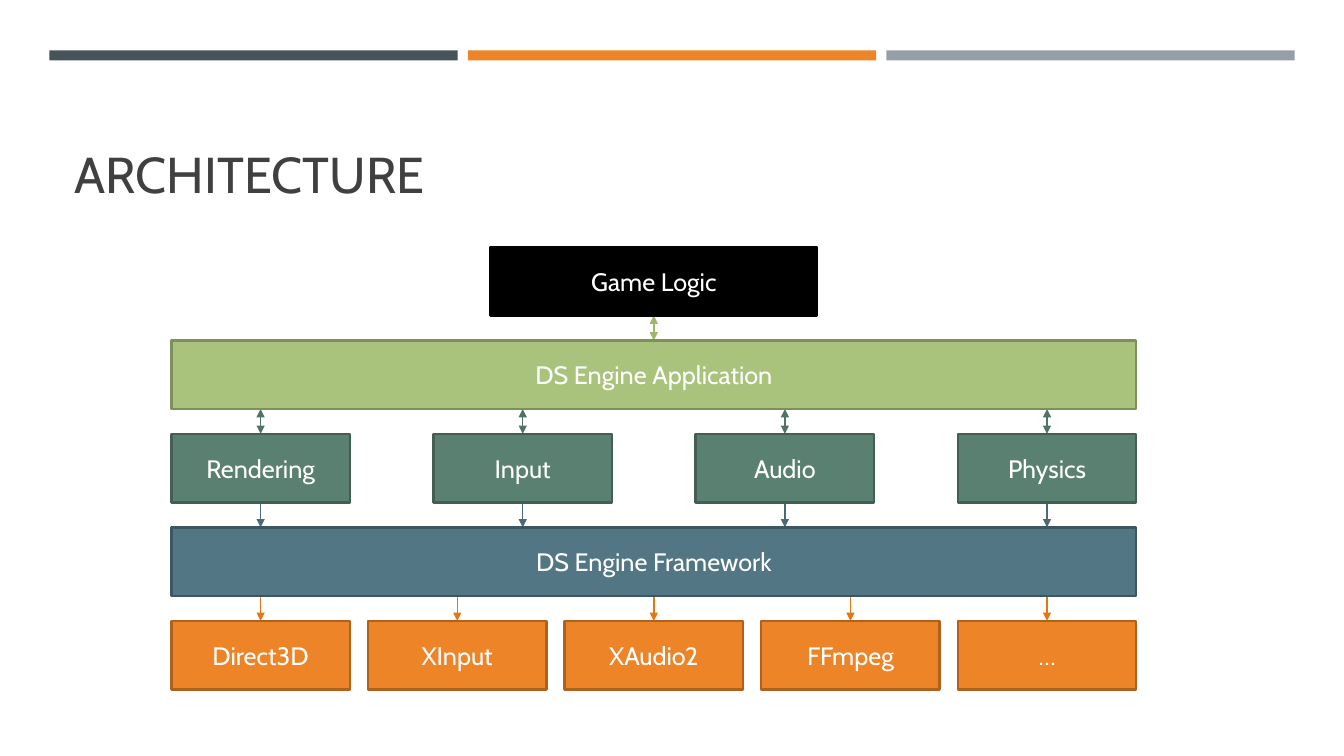
from lxml.etree import SubElement
from pptx import Presentation
from pptx.dml.color import RGBColor
from pptx.enum.shapes import MSO_CONNECTOR, MSO_SHAPE
from pptx.enum.text import MSO_ANCHOR, PP_ALIGN
from pptx.oxml.ns import qn
from pptx.util import Inches, Pt

FONT = "Cabin"
WHITE = RGBColor(0xFF, 0xFF, 0xFF)
BLACK = RGBColor(0x00, 0x00, 0x00)
INK = RGBColor(0x40, 0x40, 0x40)
SLATE = RGBColor(0x46, 0x53, 0x59)
GREY = RGBColor(0x96, 0x9F, 0xA7)
ORANGE = RGBColor(0xED, 0x84, 0x28)
RUST = RGBColor(0xAF, 0x62, 0x1E)
AMBER = RGBColor(0xE6, 0x76, 0x13)
LIME = RGBColor(0xA9, 0xC3, 0x7C)
OLIVE = RGBColor(0x7D, 0x90, 0x5C)
LEAF = RGBColor(0x9B, 0xB9, 0x66)
GREEN = RGBColor(0x5A, 0x80, 0x71)
PINE = RGBColor(0x43, 0x5F, 0x54)
MOSS = RGBColor(0x51, 0x73, 0x66)
BLUE = RGBColor(0x53, 0x76, 0x85)
NAVY = RGBColor(0x3D, 0x57, 0x62)
STEEL = RGBColor(0x4B, 0x6A, 0x78)

# Diagram grid, in inches
LEFT, WIDTH, CELL = 1.7, 9.57, 1.77
TOP, PITCH, HEIGHT = 2.45, 0.9275, 0.68

# Layers from top to bottom: labels, box width, fill, edge
LAYERS = [
    (["Game Logic"], 3.24, BLACK, BLACK),
    (["DS Engine Application"], WIDTH, LIME, OLIVE),
    (["Rendering", "Input", "Audio", "Physics"], CELL, GREEN, PINE),
    (["DS Engine Framework"], WIDTH, BLUE, NAVY),
    (["Direct3D", "XInput", "XAudio2", "FFmpeg", "…"], CELL, ORANGE, RUST),
]
# Gaps between layers: number of arrows, colour, both ways
GAPS = [(1, LEAF, True), (4, MOSS, True), (4, STEEL, False), (5, AMBER, False)]


def centers(count):
    """Middles of evenly spread cells; a single one sits mid-diagram."""
    if count == 1:
        return [LEFT + WIDTH / 2]
    step = (WIDTH - CELL) / (count - 1)
    return [LEFT + CELL / 2 + i * step for i in range(count)]


def add_text(shape, text, size, color, align, anchor):
    frame = shape.text_frame
    frame.word_wrap = True
    frame.vertical_anchor = anchor
    para = frame.paragraphs[0]
    para.text = text
    para.alignment = align
    para.font.name, para.font.size = FONT, Pt(size)
    para.font.color.rgb = color


def add_rect(slide, x, y, w, h, fill, edge=None):
    rect = slide.shapes.add_shape(
        MSO_SHAPE.RECTANGLE, Inches(x), Inches(y), Inches(w), Inches(h))
    rect.shadow.inherit = False
    rect.fill.solid()
    rect.fill.fore_color.rgb = fill
    if edge is None:
        rect.line.fill.background()
    else:
        rect.line.color.rgb = edge
        rect.line.width = Pt(1.75)
    return rect


def add_arrow(slide, x, y, end, color, both):
    arrow = slide.shapes.add_connector(
        MSO_CONNECTOR.STRAIGHT, Inches(x), Inches(y), Inches(x), Inches(end))
    arrow.line.color.rgb = color
    arrow.line.width = Pt(1)
    props = arrow.line._get_or_add_ln()
    for tag in ["a:headEnd", "a:tailEnd"] if both else ["a:tailEnd"]:
        SubElement(props, qn(tag), type="triangle")
    SubElement(arrow._element.spPr, qn("a:effectLst"))


def add_layer(slide, row, labels, width, fill, edge):
    for x, label in zip(centers(len(labels)), labels):
        box = add_rect(slide, x - width / 2, TOP + row * PITCH,
                       width, HEIGHT, fill, edge)
        add_text(box, label, 18, WHITE, PP_ALIGN.CENTER, MSO_ANCHOR.MIDDLE)


def add_gap(slide, row, count, color, both):
    start = TOP + row * PITCH + HEIGHT
    for x in centers(count):
        add_arrow(slide, x, start, TOP + (row + 1) * PITCH, color, both)


def main():
    deck = Presentation()
    deck.slide_width, deck.slide_height = Inches(13.33), Inches(7.5)
    slide = deck.slides.add_slide(deck.slide_layouts[6])

    # Bars along the top
    for i, color in enumerate([SLATE, ORANGE, GREY]):
        add_rect(slide, 0.49 + i * 4.15, 0.5, 4.05, 0.1, color)

    # Title
    title = slide.shapes.add_textbox(
        Inches(0.64), Inches(0.77), Inches(12.06), Inches(1.3))
    add_text(title, "ARCHITECTURE", 36, INK, PP_ALIGN.LEFT, MSO_ANCHOR.BOTTOM)

    # Diagram: arrows behind boxes
    for row, gap in enumerate(GAPS):
        add_gap(slide, row, *gap)
    for row, layer in enumerate(LAYERS):
        add_layer(slide, row, *layer)

    deck.save("out.pptx")


if __name__ == "__main__":
    main()
